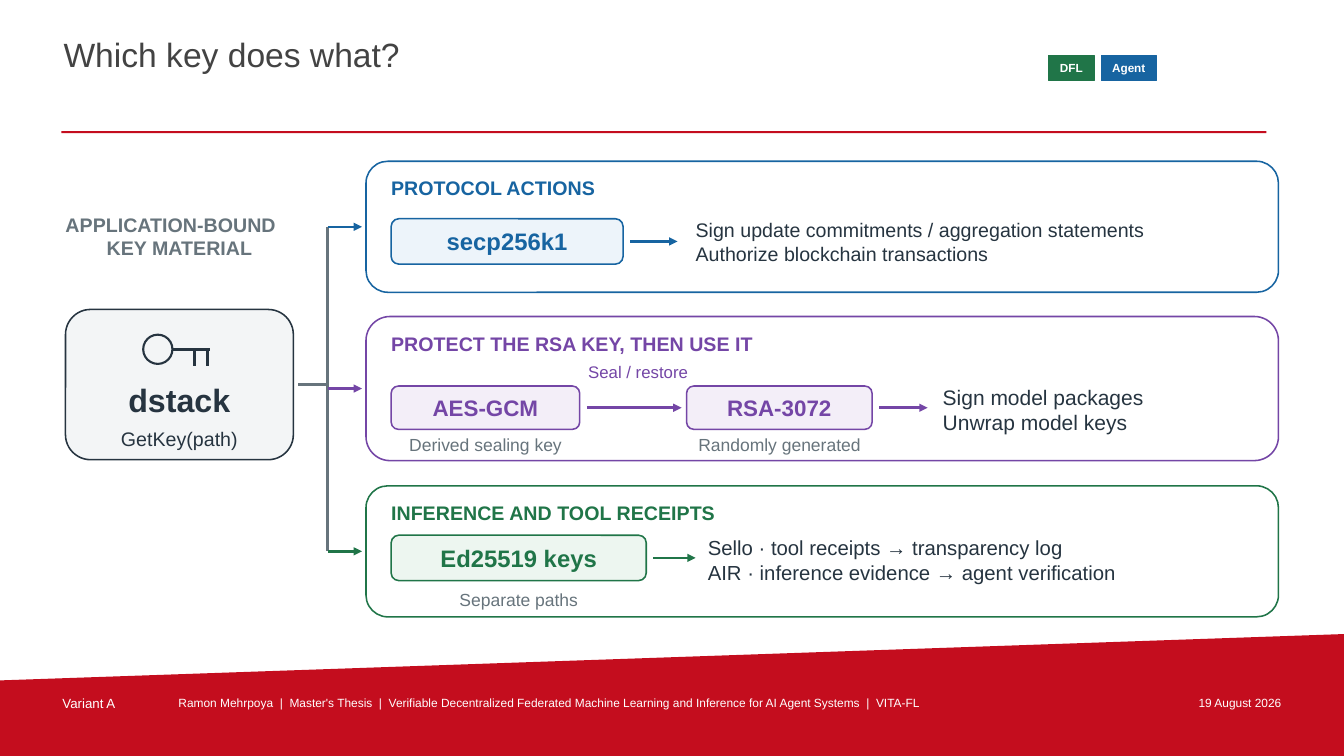
from dataclasses import dataclass

import pptx
import pptx.dml.color
import pptx.enum.shapes
import pptx.enum.text
import pptx.oxml.ns
import pptx.util
from lxml import etree

Inches = pptx.util.Inches
RGBColor = pptx.dml.color.RGBColor
SHAPE = pptx.enum.shapes.MSO_SHAPE
ALIGN = pptx.enum.text.PP_ALIGN
ANCHOR = pptx.enum.text.MSO_ANCHOR

RED = RGBColor(0xC4, 0x0D, 0x1E)
WHITE = RGBColor(0xFF, 0xFF, 0xFF)
TITLE = RGBColor(0x43, 0x43, 0x43)
INK = RGBColor(0x26, 0x34, 0x40)
GRAY = RGBColor(0x67, 0x74, 0x7C)
PALE_GRAY = RGBColor(0xF3, 0xF5, 0xF6)
BLUE = RGBColor(0x17, 0x64, 0xA1)
PALE_BLUE = RGBColor(0xED, 0xF4, 0xFA)
PURPLE = RGBColor(0x74, 0x46, 0xA6)
PALE_PURPLE = RGBColor(0xF3, 0xEE, 0xF8)
GREEN = RGBColor(0x20, 0x75, 0x48)
PALE_GREEN = RGBColor(0xED, 0xF6, 0xF0)

LANE_LEFT, LANE_WIDTH = 3.63, 9.05
TRUNK_X = 3.25


@dataclass
class Key:
    name: str
    left: float
    width: float
    caption: str = ""


@dataclass
class Lane:
    title: str
    top: float
    height: float
    color: RGBColor
    tint: RGBColor
    keys: list
    key_top: float
    key_height: float
    key_size: float
    arrow_end: float
    uses: list
    uses_left: float
    uses_size: float
    uses_drop: float = 0
    caption_gap: float = 0.05


LANES = [
    Lane("PROTOCOL ACTIONS", 1.6, 1.3, BLUE, PALE_BLUE,
         [Key("secp256k1", 0.25, 2.3)], 0.57, 0.45, 17, 3.09,
         ["Sign update commitments / aggregation statements",
          "Authorize blockchain transactions"], 3.27, 14),
    Lane("PROTECT THE RSA KEY, THEN USE IT", 3.14, 1.43, PURPLE, PALE_PURPLE,
         [Key("AES-GCM", 0.25, 1.87, "Derived sealing key"),
          Key("RSA-3072", 3.18, 1.84, "Randomly generated")], 0.69, 0.43, 16, 5.57,
         ["Sign model packages", "Unwrap model keys"], 5.72, 15, 0.02),
    Lane("INFERENCE AND TOOL RECEIPTS", 4.82, 1.3, GREEN, PALE_GREEN,
         [Key("Ed25519 keys", 0.25, 2.53, "Separate paths")], 0.49, 0.45, 17, 3.27,
         ["Sello · tool receipts → transparency log",
          "AIR · inference evidence → agent verification"], 3.39, 14.5, 0.02, 0.08),
]


def write(sp, lines, size, color, bold=False, align=ALIGN.LEFT,
          anchor=ANCHOR.MIDDLE, inset=0):
    tf = sp.text_frame
    frame = {"word_wrap": True, "vertical_anchor": anchor}
    frame.update({f"margin_{side}": Inches(inset)
                  for side in ("left", "right", "top", "bottom")})
    for name, value in frame.items():
        setattr(tf, name, value)
    for i, line in enumerate(lines):
        p = tf.paragraphs[0] if i == 0 else tf.add_paragraph()
        p.alignment = align
        r = p.add_run()
        r.text = line
        for name, value in {"name": "Arial", "size": pptx.util.Pt(size), "bold": bold}.items():
            setattr(r.font, name, value)
        r.font.color.rgb = color
    return tf


def text(s, x, y, w, h, lines, size, color, **style):
    sp = s.shapes.add_textbox(Inches(x), Inches(y), Inches(w), Inches(h))
    return write(sp, lines, size, color, **style)


def shape(s, kind, x, y, w, h, fill, line=None, weight=1.1):
    sp = s.shapes.add_shape(kind, Inches(x), Inches(y), Inches(w), Inches(h))
    paint(sp, fill, line, weight)
    return sp


def paint(sp, fill, line=None, weight=1.1):
    sp.shadow.inherit = False
    sp.fill.solid()
    sp.fill.fore_color.rgb = fill
    if line is None:
        sp.line.fill.background()
    else:
        sp.line.color.rgb = line
        sp.line.width = pptx.util.Pt(weight)


def connect(s, x1, y1, x2, y2, color, weight=1.8, arrow=False):
    c = s.shapes.add_connector(pptx.enum.shapes.MSO_CONNECTOR.STRAIGHT,
                               Inches(x1), Inches(y1), Inches(x2), Inches(y2))
    c.line.color.rgb = color
    c.line.width = pptx.util.Pt(weight)
    if arrow:
        etree.SubElement(c.line._get_or_add_ln(), pptx.oxml.ns.qn("a:tailEnd"), type="triangle")
    etree.SubElement(c._element.spPr, pptx.oxml.ns.qn("a:effectLst"))


def header(s, x, y, w):
    # Title and rule
    sp = s.shapes.title
    for name, value in {"left": x, "top": y, "width": 9.65, "height": 0.62}.items():
        setattr(sp, name, Inches(value))
    write(sp, ["Which key does what?"], 24, TITLE, anchor=ANCHOR.TOP, inset=0.02)
    shape(s, SHAPE.RECTANGLE, x, y + 0.98, w, 0.02, RED)
    # Tags
    for name, left, width, color in (("DFL", 9.79, 0.45, GREEN), ("Agent", 10.31, 0.55, BLUE)):
        tag = shape(s, SHAPE.RECTANGLE, x + left, y + 0.23, width, 0.25, color, color, 0.55)
        write(tag, [name], 8.4, WHITE, bold=True, align=ALIGN.CENTER)


def footer(s, y, w, h):
    # Slanted band
    fb = s.shapes.build_freeform(0, Inches(y + 0.46))
    fb.add_line_segments([(Inches(a), Inches(b)) for a, b in
                          ((w, y), (w, y + h), (0, y + h))], close=True)
    paint(fb.convert_to_shape(), RED)
    # Footer texts
    about = ("Ramon Mehrpoya  |  Master's Thesis  |  Verifiable Decentralized Federated "
             "Machine Learning and Inference for AI Agent Systems  |  VITA-FL")
    for line, left, width, size, align in (
            ("Variant A", 0.6, 1, 9.5, ALIGN.LEFT),
            (about, 1.75, 9.35, 8.5, ALIGN.LEFT),
            ("19 August 2026", 11.2, 1.53, 8.5, ALIGN.RIGHT)):
        text(s, left, y + 0.59, width, 0.22, [line], size, WHITE,
             align=align, anchor=ANCHOR.TOP, inset=0.02)


def key_source(s, x, y, w, h):
    # Label above the card
    tf = text(s, x, y - 1.04, w, 0.63, ["APPLICATION-BOUND", "KEY MATERIAL"], 14, GRAY,
              bold=True, align=ALIGN.CENTER)
    tf.paragraphs[0].alignment = ALIGN.LEFT
    shape(s, SHAPE.ROUNDED_RECTANGLE, x, y, w, h, PALE_GRAY, INK)
    # Key icon
    shaft = y + 0.4
    shape(s, SHAPE.OVAL, x + 0.77, y + 0.25, 0.29, 0.29, PALE_GRAY, INK, 1.5)
    connect(s, x + 1.06, shaft, x + 1.43, shaft, INK, 2)
    for tooth in (1.28, 1.41):
        connect(s, x + tooth, shaft, x + tooth, shaft + 0.16, INK, 2)
    # Card texts
    text(s, x + 0.18, y + 0.7, w - 0.36, 0.38, ["dstack"], 23, INK,
         bold=True, align=ALIGN.CENTER)
    text(s, x + 0.18, y + 1.16, w - 0.36, 0.25, ["GetKey(path)"], 14, INK, align=ALIGN.CENTER)
    # Trunk towards the lanes
    connect(s, x + w + 0.05, y + h / 2, TRUNK_X, y + h / 2, GRAY)
    first, last = LANES[0], LANES[-1]
    connect(s, TRUNK_X, first.top + first.height / 2,
            TRUNK_X, last.top + last.height / 2, GRAY)


def key_lane(s, lane, x, y, w, h):
    # Frame, incoming arrow and title
    shape(s, SHAPE.ROUNDED_RECTANGLE, x, y, w, h, WHITE, lane.color)
    connect(s, TRUNK_X, y + h / 2, x - 0.04, y + h / 2, lane.color, arrow=True)
    text(s, x + 0.25, y + 0.14, 7.87, 0.25, [lane.title], 14, lane.color, bold=True)
    # Keys, each with an arrow to the next part
    key_y = y + lane.key_top
    mid = key_y + lane.key_height / 2
    ends = [k.left - 0.05 for k in lane.keys[1:]] + [lane.arrow_end]
    for k, end in zip(lane.keys, ends):
        box = shape(s, SHAPE.ROUNDED_RECTANGLE, x + k.left, key_y, k.width,
                    lane.key_height, lane.tint, lane.color)
        write(box, [k.name], lane.key_size, lane.color, bold=True, align=ALIGN.CENTER)
        if k.caption:
            text(s, x + k.left - 0.12, key_y + lane.key_height + lane.caption_gap,
                 k.width + 0.24, 0.21, [k.caption], 12.5, GRAY, align=ALIGN.CENTER)
        connect(s, x + k.left + k.width + 0.07, mid, x + end, mid, lane.color, arrow=True)
    if len(lane.keys) > 1:
        text(s, x + 2.15, key_y - 0.27, 1.1, 0.26, ["Seal / restore"], 12, lane.color,
             align=ALIGN.CENTER)
    # What the keys are used for
    text(s, x + lane.uses_left, mid - 0.32 + lane.uses_drop, w - lane.uses_left - 0.25, 0.64,
         lane.uses, lane.uses_size, INK)


def main():
    prs = pptx.Presentation()
    prs.slide_width, prs.slide_height = Inches(13.33), Inches(7.5)
    s = prs.slides.add_slide(prs.slide_layouts[5])
    footer(s, 6.29, 13.33, 1.21)
    header(s, 0.61, 0.32, 11.95)
    key_source(s, 0.65, 3.07, 2.26, 1.49)
    for lane in LANES:
        key_lane(s, lane, LANE_LEFT, lane.top, LANE_WIDTH, lane.height)
    prs.save("out.pptx")


if __name__ == "__main__":
    main()
